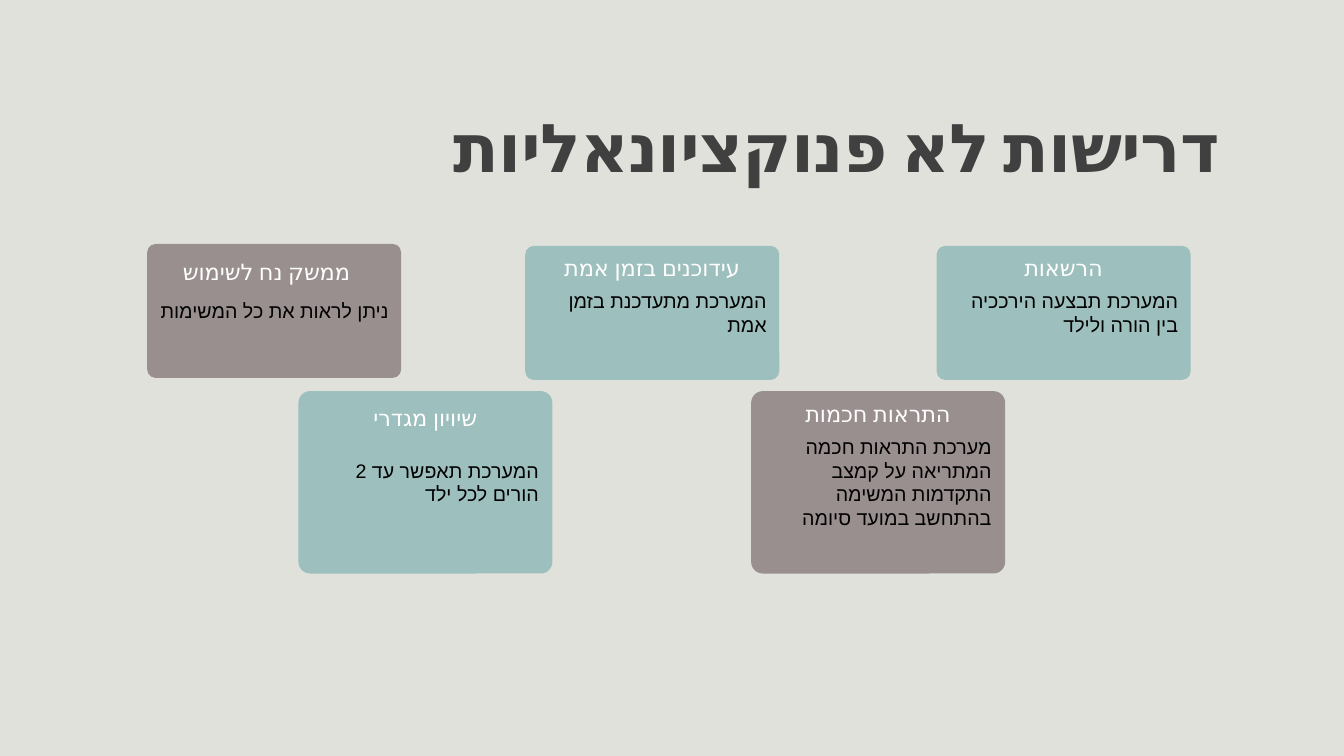
from dataclasses import dataclass

import pptx
import pptx.dml.color
import pptx.enum.shapes
import pptx.enum.text
import pptx.oxml.ns
import pptx.util

ALIGN = pptx.enum.text.PP_ALIGN
ANCHOR = pptx.enum.text.MSO_ANCHOR
SHAPE = pptx.enum.shapes.MSO_SHAPE
WIDTH = pptx.util.Inches(13.33)
HEIGHT = pptx.util.Inches(7.5)


@dataclass(frozen=True)
class Style:
    font: str
    size: float
    color: str
    bold: bool = False
    tracking: int = 0


@dataclass(frozen=True)
class Theme:
    background: str = "E1E1DB"
    teal: str = "9DBFBE"
    taupe: str = "9A8F8F"
    title: Style = Style("Calibri", 48, "404040", True, -50)
    heading: Style = Style("Lato", 16, "FFFFFF")
    body: Style = Style("Arial", 14, "000000")


@dataclass(frozen=True)
class Box:
    """Left, top, width and height as percentages of the slide."""
    left: float
    top: float
    width: float
    height: float

    def emu(self) -> tuple[int, int, int, int]:
        return (round(WIDTH * self.left / 100), round(HEIGHT * self.top / 100),
                round(WIDTH * self.width / 100), round(HEIGHT * self.height / 100))


@dataclass(frozen=True)
class Card:
    heading: str
    body: str
    fill: str
    left: float
    top: float
    height: float
    heading_drop: float = 2.67
    heading_shift: float = 0


THEME = Theme()
CARD_WIDTH = 18.9
HEADING_WIDTH, HEADING_HEIGHT = 14.78, 3.33
CORNER = 0.064
INSET = pptx.util.Inches(0.1)
UPPER, LOWER = 32.53, 51.73
SHORT, TALL = 17.73, 24.13

TITLE = "דרישות לא פנוקציונאליות"
TITLE_BOX = Box(9, 4.13, 82.52, 21.2)
CARDS = [
    Card("ממשק נח לשימוש", "ניתן לראות את כל המשימות",
         THEME.taupe, 10.95, 32.27, SHORT, 3.47, -0.56),
    Card("עידוכנים בזמן אמת", "המערכת מתעדכנת בזמן אמת",
         THEME.teal, 39.08, UPPER, SHORT),
    Card("התראות חכמות",
         "מערכת התראות חכמה המתריאה על קמצב התקדמות המשימה בהתחשב במועד סיומה",
         THEME.taupe, 55.89, LOWER, TALL, 2.8),
    Card("הרשאות", "המערכת תבצעה הירככיה בין הורה ולילד",
         THEME.teal, 69.69, UPPER, SHORT),
    Card("שיויון מגדרי", "המערכת תאפשר עד 2 הורים לכל ילד",
         THEME.teal, 22.2, LOWER, TALL, 3.33),
]


def rgb(color: str) -> pptx.dml.color.RGBColor:
    return pptx.dml.color.RGBColor.from_string(color)


def write(sp, text: str, style: Style, anchor, rtl: bool = True):
    """Fill a shape with one run, right-aligned if rtl and centred otherwise."""
    tf = sp.text_frame
    tf.word_wrap = True
    tf.vertical_anchor = anchor
    p = tf.paragraphs[0]
    p.alignment = ALIGN.RIGHT if rtl else ALIGN.CENTER
    if rtl:
        p._p.get_or_add_pPr().set("rtl", "1")
    r = p.add_run()
    r.text = text
    r.font.name = style.font
    r.font.size = pptx.util.Pt(style.size)
    r.font.bold = style.bold
    r.font.color.rgb = rgb(style.color)
    props = r._r.get_or_add_rPr()
    props.set("lang", "he-IL")
    if style.tracking:
        props.set("spc", str(style.tracking))
    cs = props.makeelement(pptx.oxml.ns.qn("a:cs"), {"typeface": style.font})
    props.append(cs)
    return p


def set_insets(sp) -> None:
    tf = sp.text_frame
    tf.margin_left = tf.margin_right = tf.margin_top = tf.margin_bottom = INSET


def draw_title(slide) -> None:
    sp = slide.shapes.add_textbox(*TITLE_BOX.emu())
    p = write(sp, TITLE, THEME.title, ANCHOR.BOTTOM)
    p.line_spacing = 0.85


def draw_card(slide, card: Card) -> None:
    box = Box(card.left, card.top, CARD_WIDTH, card.height)
    sp = slide.shapes.add_shape(SHAPE.ROUNDED_RECTANGLE, *box.emu())
    sp.adjustments[0] = CORNER
    sp.shadow.inherit = False
    sp.fill.solid()
    sp.fill.fore_color.rgb = rgb(card.fill)
    sp.line.fill.background()
    set_insets(sp)
    write(sp, card.body, THEME.body, ANCHOR.MIDDLE)

    left = card.left + (CARD_WIDTH - HEADING_WIDTH) / 2 + card.heading_shift
    box = Box(left, card.top + card.heading_drop, HEADING_WIDTH, HEADING_HEIGHT)
    sp = slide.shapes.add_textbox(*box.emu())
    set_insets(sp)
    write(sp, card.heading, THEME.heading, ANCHOR.BOTTOM, rtl=False)


def main() -> None:
    prs = pptx.Presentation()
    prs.slide_width, prs.slide_height = WIDTH, HEIGHT
    slide = prs.slides.add_slide(prs.slide_layouts[6])
    slide.background.fill.solid()
    slide.background.fill.fore_color.rgb = rgb(THEME.background)
    draw_title(slide)
    for card in CARDS:
        draw_card(slide, card)
    prs.save("out.pptx")


if __name__ == "__main__":
    main()
